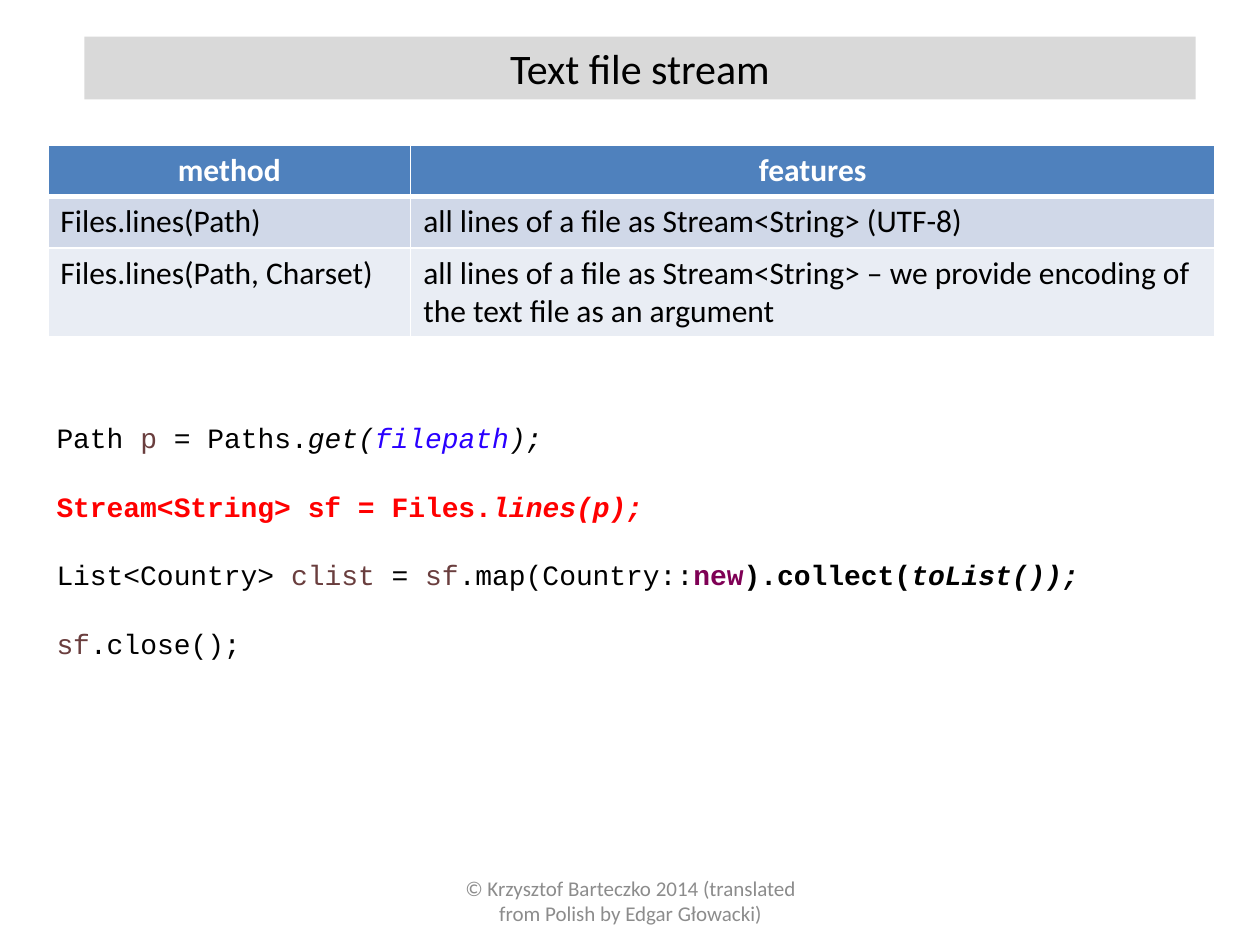
from lxml.etree import SubElement
from pptx import Presentation
from pptx.dml.color import RGBColor
from pptx.enum.shapes import MSO_SHAPE as Shape
from pptx.enum.text import MSO_ANCHOR as Anchor, PP_ALIGN as Align
from pptx.oxml.ns import qn
from pptx.util import Inches, Pt

COLORS = {
    "black": "000000", "white": "FFFFFF", "bar": "D9D9D9", "footer": "8C8C8C",
    "header": "4F81BD", "band_dark": "D0D8E8", "band_light": "E9EDF4",
    "variable": "6A3E3E", "field": "2A00FF", "keyword": "7F0055", "stress": "FF0000",
}


def color(name):
    return RGBColor.from_string(COLORS[name])


def add_span(para, text, size=18, font="Calibri", ink="black", bold=False, italic=False):
    span = para.add_run()
    span.text = text
    span.font.name = font
    span.font.size = Pt(size)
    span.font.bold = bold
    span.font.italic = italic
    span.font.color.rgb = color(ink)


class SlideBuilder:
    def __init__(self, deck):
        self.slide = deck.slides.add_slide(deck.slide_layouts[6])

    def text_box(self, left, top, width, height, anchor=Anchor.TOP):
        box = self.slide.shapes.add_textbox(
            Inches(left), Inches(top), Inches(width), Inches(height))
        box.text_frame.word_wrap = True
        box.text_frame.vertical_anchor = anchor
        return box.text_frame

    def title_bar(self, text, left, top, width, height):
        bar = self.slide.shapes.add_shape(
            Shape.RECTANGLE, Inches(left), Inches(top), Inches(width), Inches(height))
        bar.shadow.inherit = False
        bar.fill.solid()
        bar.fill.fore_color.rgb = color("bar")
        bar.line.fill.background()
        bar.text_frame.word_wrap = True
        bar.text_frame.vertical_anchor = Anchor.TOP
        para = bar.text_frame.paragraphs[0]
        para.alignment = Align.CENTER
        add_span(para, text, size=24)

    def footer(self, text, left, top, width, height):
        para = self.text_box(left, top, width, height, Anchor.MIDDLE).paragraphs[0]
        para.alignment = Align.CENTER
        add_span(para, text, size=12, ink="footer")

    def code(self, lines, left, top, width, height, gap=20):
        frame = self.text_box(left, top, width, height)
        for index, line in enumerate(lines):
            para = frame.add_paragraph() if index else frame.paragraphs[0]
            if index:
                para.space_before = Pt(gap)
            for text, style in line:
                add_span(para, text, size=16, font="Courier New", **style)

    def table(self, rows, left, top, widths, heights):
        table = self.slide.shapes.add_table(
            len(rows), len(widths), Inches(left), Inches(top),
            Inches(sum(widths)), Inches(sum(heights))).table
        for column, width in zip(table.columns, widths):
            column.width = Inches(width)
        for r, (texts, height) in enumerate(zip(rows, heights)):
            table.rows[r].height = Inches(height)
            header = r == 0
            fill = "header" if header else ("band_dark" if r % 2 else "band_light")
            for c, text in enumerate(texts):
                cell = table.cell(r, c)
                para = cell.text_frame.paragraphs[0]
                para.alignment = Align.CENTER if header else Align.LEFT
                add_span(para, text, ink="white" if header else "black", bold=header)
                # Borders must come before the fill in the cell properties
                self.borders(cell, top=3 if r == 1 else 1, bottom=3 if header else 1)
                cell.fill.solid()
                cell.fill.fore_color.rgb = color(fill)

    def borders(self, cell, top, bottom):
        properties = cell._tc.get_or_add_tcPr()
        for tag, width in (("lnL", 1), ("lnR", 1), ("lnT", top), ("lnB", bottom)):
            line = SubElement(properties, qn(f"a:{tag}"), w=str(Pt(width)))
            fill = SubElement(line, qn("a:solidFill"))
            SubElement(fill, qn("a:srgbClr"), val=COLORS["white"])


def main():
    deck = Presentation()
    deck.slide_width, deck.slide_height = Inches(10), Inches(7.5)
    page = SlideBuilder(deck)

    # Footer and title
    page.footer("© Krzysztof Barteczko 2014 (translated from Polish by Edgar Głowacki)",
                3.42, 6.95, 3.17, 0.4)
    page.title_bar("Text file stream", 0.67, 0.29, 8.82, 0.5)

    # Code example
    plain, italic, bold = {}, {"italic": True}, {"bold": True}
    variable = {"ink": "variable"}
    stress = {"ink": "stress", "bold": True}
    page.code([
        [("Path ", plain), ("p", variable), (" = Paths.", plain), ("get(", italic),
         ("filepath", {"ink": "field", "italic": True}), (");", italic)],
        [("Stream<String> sf = Files.", stress), ("lines(p);", stress | italic)],
        [("List<Country> ", plain), ("clist", variable), (" = ", plain),
         ("sf", variable), (".map(Country::", plain),
         ("new", {"ink": "keyword", "bold": True}), (").collect(", bold),
         ("toList());", bold | italic)],
        [("sf", variable), (".close();", plain)],
    ], 0.35, 3.29, 9.29, 1.99)

    # Method overview
    page.table([
        ("method", "features"),
        ("Files.lines(Path)", "all lines of a file as Stream<String> (UTF-8)"),
        ("Files.lines(Path, Charset)",
         "all lines of a file as Stream<String> – we provide encoding of "
         "the text file as an argument"),
    ], 0.38, 1.15, widths=(2.88, 6.38), heights=(0.41, 0.41, 0.69))

    deck.save("out.pptx")


if __name__ == "__main__":
    main()
